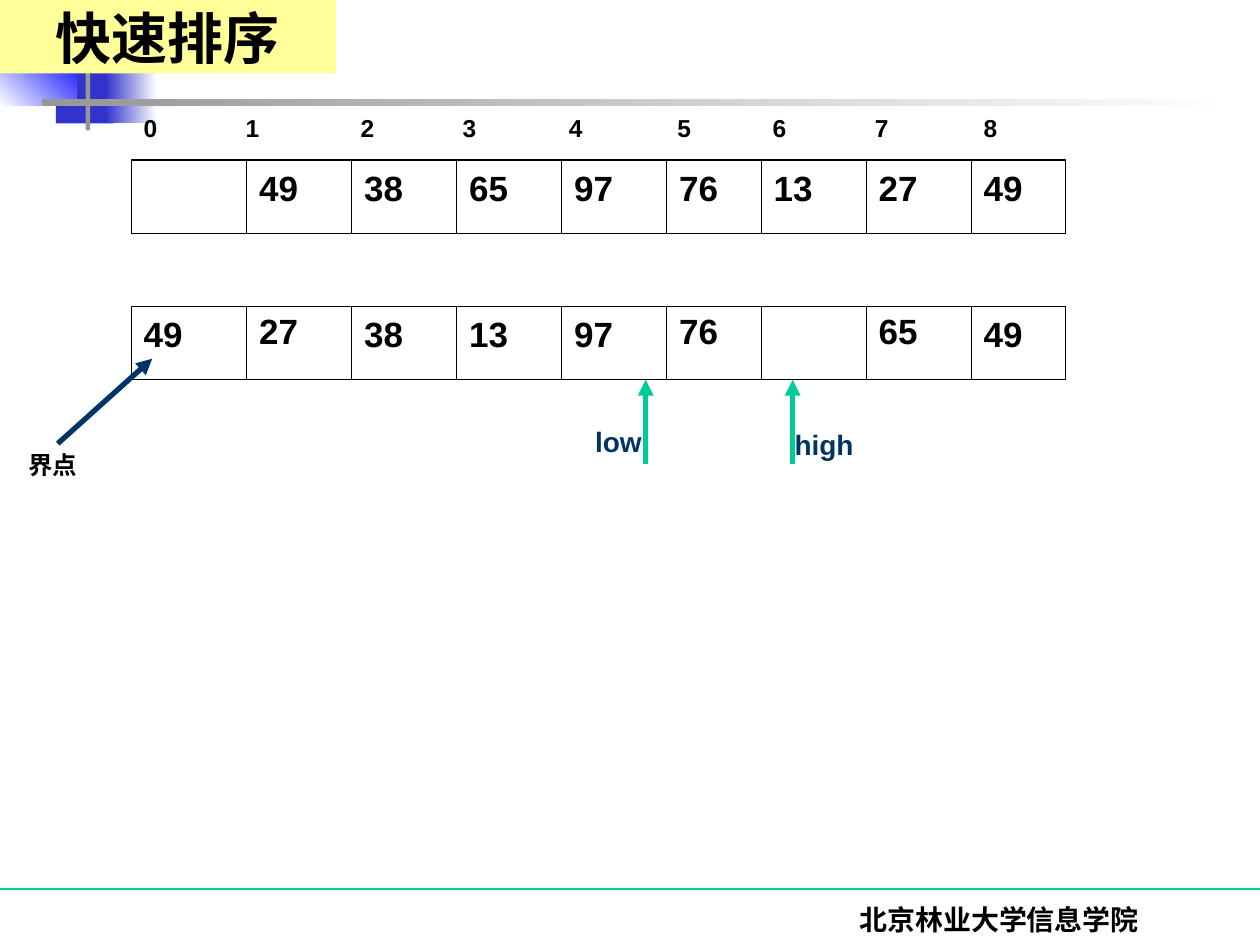
from pptx import Presentation
from pptx.dml.color import RGBColor
from pptx.enum.shapes import MSO_CONNECTOR, MSO_SHAPE
from pptx.enum.text import MSO_ANCHOR, MSO_AUTO_SIZE, PP_ALIGN
from pptx.oxml.ns import qn
from pptx.util import Pt
from lxml.etree import SubElement

BLACK, NAVY, GREEN, GRAY, BLUE, PAPER = (
    "000000", "003366", "00CC99", "969696", "3333CC", "FEFFFF")
EDGES = [75, 141, 201, 261, 321, 381, 435, 495, 555, 609]
ROW_HEIGHT = 42


def rgb(value):
    return RGBColor.from_string(value)


class Canvas:
    font = "Arial"
    title_font = "Times New Roman"

    def __init__(self, s):
        self.s = s

    def rect(self, x, y, w, h, color, border=None):
        sp = self.s.shapes.add_shape(MSO_SHAPE.RECTANGLE, Pt(x), Pt(y), Pt(w), Pt(h))
        sp.shadow.inherit = False
        sp.fill.solid()
        sp.fill.fore_color.rgb = rgb(color)
        if border:
            sp.line.color.rgb = rgb(border)
            sp.line.width = Pt(0.75)
        else:
            sp.line.fill.background()
        return sp

    def gradient(self, x, y, w, h, start, end, angle=0):
        sp = self.rect(x, y, w, h, start)
        sp.fill.gradient()
        sp.fill.gradient_angle = angle
        for stop, color in zip(sp.fill.gradient_stops, (start, end)):
            stop.color.rgb = rgb(color)

    def line(self, x1, y1, x2, y2, color=BLACK, width=0.75, arrow=False):
        c = self.s.shapes.add_connector(
            MSO_CONNECTOR.STRAIGHT, Pt(x1), Pt(y1), Pt(x2), Pt(y2))
        c.line.color.rgb = rgb(color)
        c.line.width = Pt(width)
        props = c.element.spPr
        if arrow:
            SubElement(props.find(qn("a:ln")), qn("a:tailEnd"), type="triangle")
        SubElement(props, qn("a:effectLst"))

    def label(self, sp, text, size, color=BLACK, font=None, align=PP_ALIGN.LEFT, tabs=()):
        tf = sp.text_frame
        tf.word_wrap = True
        p = tf.paragraphs[0]
        p.text = text
        p.alignment = align
        if tabs:
            stops = SubElement(p._p.get_or_add_pPr(), qn("a:tabLst"))
            for pos in tabs:
                SubElement(stops, qn("a:tab"), pos=str(Pt(pos)), algn="l")
        p.font.name = font or self.font
        p.font.size = Pt(size)
        p.font.bold = True
        p.font.color.rgb = rgb(color)
        return tf

    def text(self, x, y, w, h, text, size, **style):
        sp = self.s.shapes.add_textbox(Pt(x), Pt(y), Pt(w), Pt(h))
        tf = self.label(sp, text, size, **style)
        tf.auto_size = MSO_AUTO_SIZE.SHAPE_TO_FIT_TEXT

    def array(self, y, values, raised=()):
        self.rect(EDGES[0], y, EDGES[-1] - EDGES[0], ROW_HEIGHT, "FFFFFF", BLACK)
        for x in EDGES[1:-1]:
            self.line(x, y, x, y + ROW_HEIGHT)
        for i, (x, value) in enumerate(zip(EDGES, values)):
            if value:
                top = y - 1.5 if i in raised else y
                self.text(x, top, 48, 31.5, value, 20)

    def pointer(self, x, y, name, name_x, name_y):
        self.line(x, y + 48, x, y, GREEN, 3, arrow=True)
        self.text(name_x, name_y, 66, 26.5, name, 16, color=NAVY)


def main():
    prs = Presentation()
    prs.slide_width, prs.slide_height = Pt(720), Pt(540)
    s = prs.slides.add_slide(prs.slide_layouts[6])
    s.background.fill.solid()
    s.background.fill.fore_color.rgb = rgb(PAPER)
    canvas = Canvas(s)

    canvas.line(0, 508, 720, 508, GREEN)
    canvas.rect(32, 33, 33, 37.5, BLUE)
    canvas.gradient(60.5, 33, 29, 37.5, BLUE, PAPER)
    canvas.gradient(0, 27.5, 43.5, 33, PAPER, "0000FF", angle=45)
    canvas.rect(49, 0, 2.5, 74.5, GRAY)
    canvas.gradient(24, 56.5, 684.5, 4, GRAY, PAPER)
    canvas.text(422, 512, 298, 36, "北京林业大学信息学院", 16,
                font=canvas.title_font, align=PP_ALIGN.CENTER)

    canvas.text(75, 61, 534, 24.5, "\t".join("012345678"), 14,
                tabs=(58.3, 124, 182.3, 243, 305, 359.5, 417.8, 480))
    canvas.array(91.5, ["", "49", "38", "65", "97", "76", "13", "27", "49"])
    canvas.array(175, ["49", "27", "38", "13", "97", "76", "", "65", "49"],
                 raised=(1, 5, 7))

    canvas.pointer(453, 217, "high", 447, 241)
    canvas.pointer(369, 217, "low", 333, 239)
    canvas.text(9, 253.5, 60, 24.5, "界点", 14)
    canvas.line(33, 253.5, 87, 205, NAVY, 3, arrow=True)

    title = canvas.rect(0, 0, 192, 42, "FFFF99")
    tf = canvas.label(title, "快速排序", 32, font=canvas.title_font,
                      align=PP_ALIGN.CENTER)
    tf.vertical_anchor = MSO_ANCHOR.MIDDLE

    prs.save("out.pptx")


if __name__ == "__main__":
    main()
